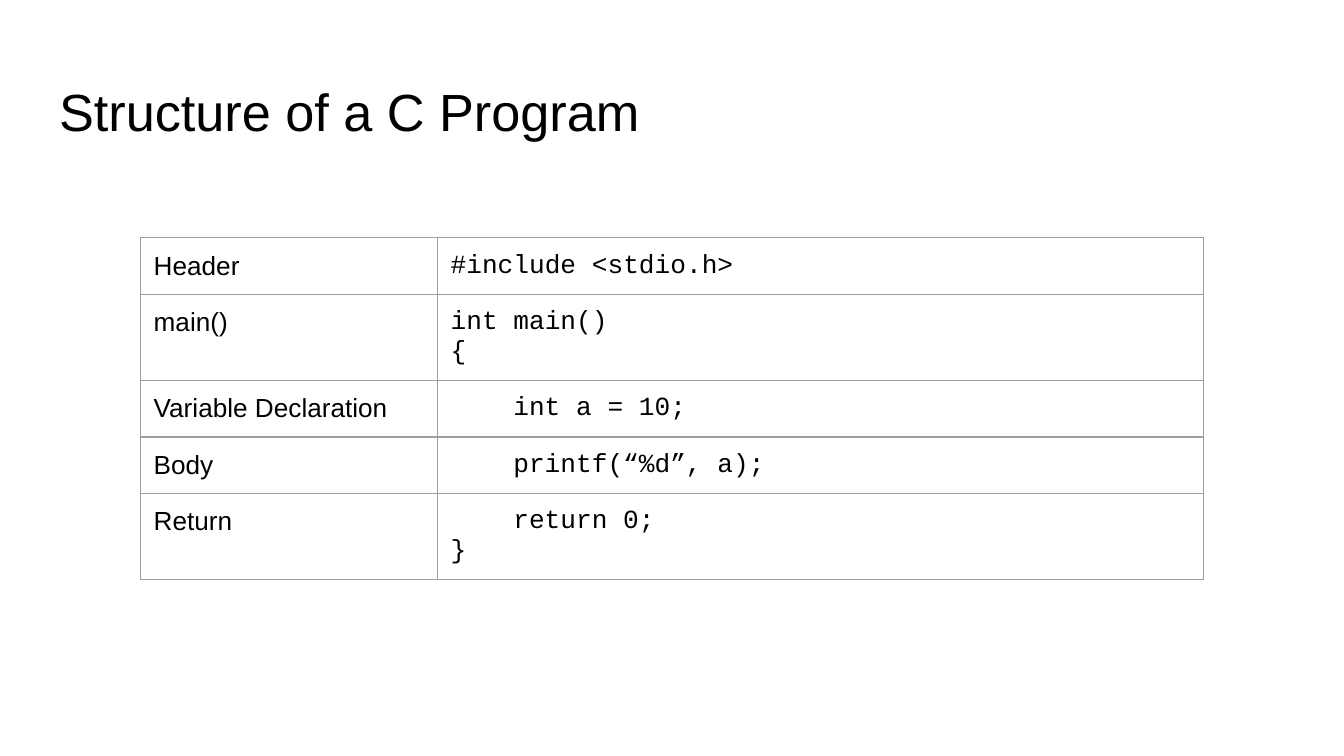
"""Build a slide that shows the structure of a C program as a table."""
from dataclasses import dataclass

from lxml import etree
from pptx import Presentation
from pptx.dml.color import RGBColor
from pptx.enum.text import MSO_ANCHOR, MSO_AUTO_SIZE, PP_ALIGN
from pptx.oxml.ns import qn
from pptx.slide import Slide
from pptx.table import _Cell
from pptx.text.text import TextFrame
from pptx.util import Length, Pt

LEFT = PP_ALIGN.LEFT
TOP = MSO_ANCHOR.TOP
NO_AUTOFIT = MSO_AUTO_SIZE.NONE
TITLE_ONLY = 5


@dataclass(frozen=True)
class Theme:
    ink: RGBColor = RGBColor(0x00, 0x00, 0x00)
    rule: str = "9E9E9E"
    rule_width: Length = Pt(0.75)
    prose_font: str = "Arial"
    code_font: str = "Courier New"
    title_size: Length = Pt(28)
    body_size: Length = Pt(14)
    inset: Length = Pt(7.2)
    code_indent: Length = Pt(33.6)


@dataclass(frozen=True)
class CodeLine:
    text: str
    level: int = 0


@dataclass(frozen=True)
class Section:
    name: str
    code: tuple[CodeLine, ...]


THEME = Theme()
COLUMN_WIDTHS = (Pt(159.12), Pt(410.4))
ROW_HEIGHT = Pt(30.24)
EXTRA_LINE_HEIGHT = Pt(15.84)
SECTIONS = (
    Section("Header", (CodeLine("#include <stdio.h>"),)),
    Section("main()", (CodeLine("int main()"), CodeLine("{"))),
    Section("Variable Declaration", (CodeLine("int a = 10;", 1),)),
    Section("Body", (CodeLine("printf(“%d”, a);", 1),)),
    Section("Return", (CodeLine("return 0;", 1), CodeLine("}"))),
)


def write_lines(frame: TextFrame, lines: tuple[CodeLine, ...], font: str, size: Length) -> None:
    frame.text = "\n".join(line.text for line in lines)
    for paragraph, line in zip(frame.paragraphs, lines):
        paragraph.alignment = LEFT
        paragraph.font.name = font
        paragraph.font.size = size
        paragraph.font.color.rgb = THEME.ink
        if line.level:
            properties = paragraph._p.get_or_add_pPr()
            properties.set("marL", str(line.level * THEME.code_indent))
            properties.set("indent", "0")


def add_borders(cell: _Cell) -> None:
    properties = cell._tc.get_or_add_tcPr()
    for position, side in enumerate(("a:lnL", "a:lnR", "a:lnT", "a:lnB")):
        border = etree.Element(qn(side), w=str(THEME.rule_width))
        fill = etree.SubElement(border, qn("a:solidFill"))
        etree.SubElement(fill, qn("a:srgbClr"), val=THEME.rule)
        properties.insert(position, border)


def fill_cell(cell: _Cell, lines: tuple[CodeLine, ...], font: str) -> None:
    cell.margin_left = cell.margin_right = THEME.inset
    cell.margin_top = cell.margin_bottom = THEME.inset
    cell.vertical_anchor = TOP
    cell.fill.background()
    add_borders(cell)
    write_lines(cell.text_frame, lines, font, THEME.body_size)


def add_title(slide: Slide, text: str) -> None:
    title = slide.shapes.title
    title.left, title.top = Pt(24.48), Pt(35.28)
    title.width, title.height = Pt(671.04), Pt(45.36)
    frame = title.text_frame
    frame.margin_left = frame.margin_right = THEME.inset
    frame.margin_top = frame.margin_bottom = THEME.inset
    frame.vertical_anchor = TOP
    frame.auto_size = NO_AUTOFIT
    write_lines(frame, (CodeLine(text),), THEME.prose_font, THEME.title_size)


def add_structure_table(slide: Slide, sections: tuple[Section, ...]) -> None:
    heights = [ROW_HEIGHT + (len(section.code) - 1) * EXTRA_LINE_HEIGHT for section in sections]
    table = slide.shapes.add_table(
        len(sections), len(COLUMN_WIDTHS), Pt(75.12), Pt(127.44), sum(COLUMN_WIDTHS), sum(heights)
    ).table
    table.first_row = table.horz_banding = False
    for column, width in zip(table.columns, COLUMN_WIDTHS):
        column.width = width
    for row, height, section in zip(table.rows, heights, sections):
        row.height = height
        name_cell, code_cell = row.cells
        fill_cell(name_cell, (CodeLine(section.name),), THEME.prose_font)
        fill_cell(code_cell, section.code, THEME.code_font)


def main() -> None:
    deck = Presentation()
    deck.slide_width, deck.slide_height = Pt(720), Pt(405)
    slide = deck.slides.add_slide(deck.slide_layouts[TITLE_ONLY])
    add_title(slide, "Structure of a C Program")
    add_structure_table(slide, SECTIONS)
    deck.save("out.pptx")


if __name__ == "__main__":
    main()
